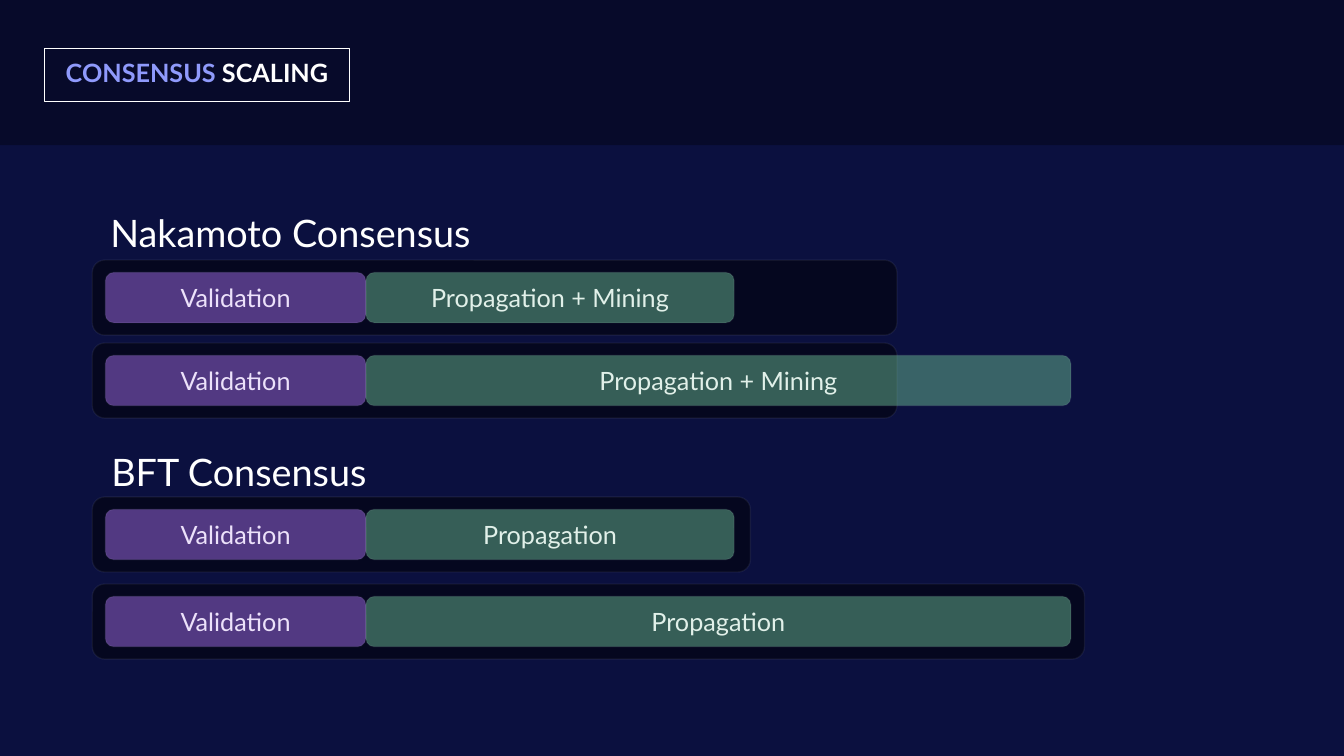
from lxml import etree
from pptx import Presentation
from pptx.dml.color import RGBColor
from pptx.enum.shapes import MSO_SHAPE as Shape
from pptx.enum.text import MSO_ANCHOR as Anchor, PP_ALIGN as Align
from pptx.oxml.ns import qn
from pptx.util import Pt

FONT = "Lato"
WHITE = "FFFFFF"
BLACK = "000000"
PURPLE, PURPLE_TEXT = "9F6BE6", "ECE1FA"
GREEN, GREEN_TEXT = "68B690", "E1F0E9"

TRACK_LEFT, TRACK_HEIGHT = 131.8, 107.3
BAR_LEFT, BAR_HEIGHT = 150.5, 72
BAR_INSET = (TRACK_HEIGHT - BAR_HEIGHT) / 2
VALIDATION_WIDTH = 372.2
SHORT, LONG = 526.3, 1007.3

# heading, left, top, width, wrap
HEADINGS = [
    ("Nakamoto Consensus", 150.5, 296.6, 708.5, True),
    ("BFT Consensus", 151.9, 637.2, 394.6, False),
]
# track top, track width, propagation label, propagation width
TIMELINES = [
    (371.5, 1149.8, "Propagation + Mining", SHORT),
    (490, 1149.8, "Propagation + Mining", LONG),
    (709.9, 940.3, "Propagation", SHORT),
    (834.3, 1417.7, "Propagation", LONG),
]


def rgb(hex_color):
    return RGBColor.from_string(hex_color)


def set_alpha(fill_format, percent):
    """Make a solid fill, of a shape or of a line, partly transparent."""
    color = fill_format._xPr.find(qn("a:solidFill"))[0]
    etree.SubElement(color, qn("a:alpha"), val=str(percent * 1000))


def add_span(para, text, size, color, bold=False):
    span = para.add_run()
    span.text = text
    span.font.name = FONT
    span.font.size = Pt(size)
    span.font.bold = bold
    span.font.color.rgb = rgb(color)


def add_panel(page, kind, left, top, width, height, color, alpha):
    """Add a translucent shape without outline."""
    panel = page.shapes.add_shape(kind, Pt(left), Pt(top), Pt(width), Pt(height))
    panel.shadow.inherit = False
    panel.fill.solid()
    panel.fill.fore_color.rgb = rgb(color)
    set_alpha(panel.fill, alpha)
    panel.line.fill.background()
    return panel


def add_rounded(page, left, top, width, height, color):
    """Add a half-transparent rounded panel with a faint white outline."""
    panel = add_panel(page, Shape.ROUNDED_RECTANGLE, left, top, width, height, color, 50)
    panel.line.color.rgb = rgb(WHITE)
    panel.line.width = Pt(2)
    set_alpha(panel.line.fill, 5)
    return panel


def add_bar(page, left, top, width, label, color, text_color):
    bar = add_rounded(page, left, top, width, BAR_HEIGHT, color)
    bar.text_frame.vertical_anchor = Anchor.MIDDLE
    para = bar.text_frame.paragraphs[0]
    para.alignment = Align.CENTER
    add_span(para, label, 36, text_color)


def add_timeline(page, top, track_width, label, width):
    add_rounded(page, TRACK_LEFT, top, track_width, TRACK_HEIGHT, BLACK)
    bar_top = top + BAR_INSET
    add_bar(page, BAR_LEFT, bar_top, VALIDATION_WIDTH, "Validation", PURPLE, PURPLE_TEXT)
    add_bar(page, BAR_LEFT + VALIDATION_WIDTH, bar_top, width, label, GREEN, GREEN_TEXT)


def add_heading(page, text, left, top, width, wrap):
    box = page.shapes.add_textbox(Pt(left), Pt(top), Pt(width), Pt(72.7))
    box.text_frame.word_wrap = wrap
    add_span(box.text_frame.paragraphs[0], text, 54, WHITE)


def add_title(page):
    title = page.shapes.add_shape(
        Shape.ROUNDED_RECTANGLE, Pt(64), Pt(68.4), Pt(434.9), Pt(76.3))
    title.adjustments[0] = 0
    title.shadow.inherit = False
    title.fill.background()
    title.line.color.rgb = rgb(WHITE)
    title.line.width = Pt(1)
    frame = title.text_frame
    frame.word_wrap = False
    frame.vertical_anchor = Anchor.MIDDLE
    frame.margin_left = frame.margin_right = Pt(17.3)
    frame.margin_top = frame.margin_bottom = Pt(14.4)
    para = frame.paragraphs[0]
    para.alignment = Align.CENTER
    para.line_spacing = 0.9
    add_span(para, "CONSENSUS", 36, "8F9AFC", bold=True)
    add_span(para, " SCALING", 36, WHITE, bold=True)


def main():
    deck = Presentation()
    deck.slide_width, deck.slide_height = Pt(1920.24), Pt(1080)
    page = deck.slides.add_slide(deck.slide_layouts[6])
    page.background.fill.solid()
    page.background.fill.fore_color.rgb = rgb("0B103F")

    add_panel(page, Shape.RECTANGLE, 0, 0, 1920.24, 207.4, BLACK, 32)
    add_title(page)
    for heading in HEADINGS:
        add_heading(page, *heading)
    for timeline in TIMELINES:
        add_timeline(page, *timeline)
    deck.save("out.pptx")


if __name__ == "__main__":
    main()
